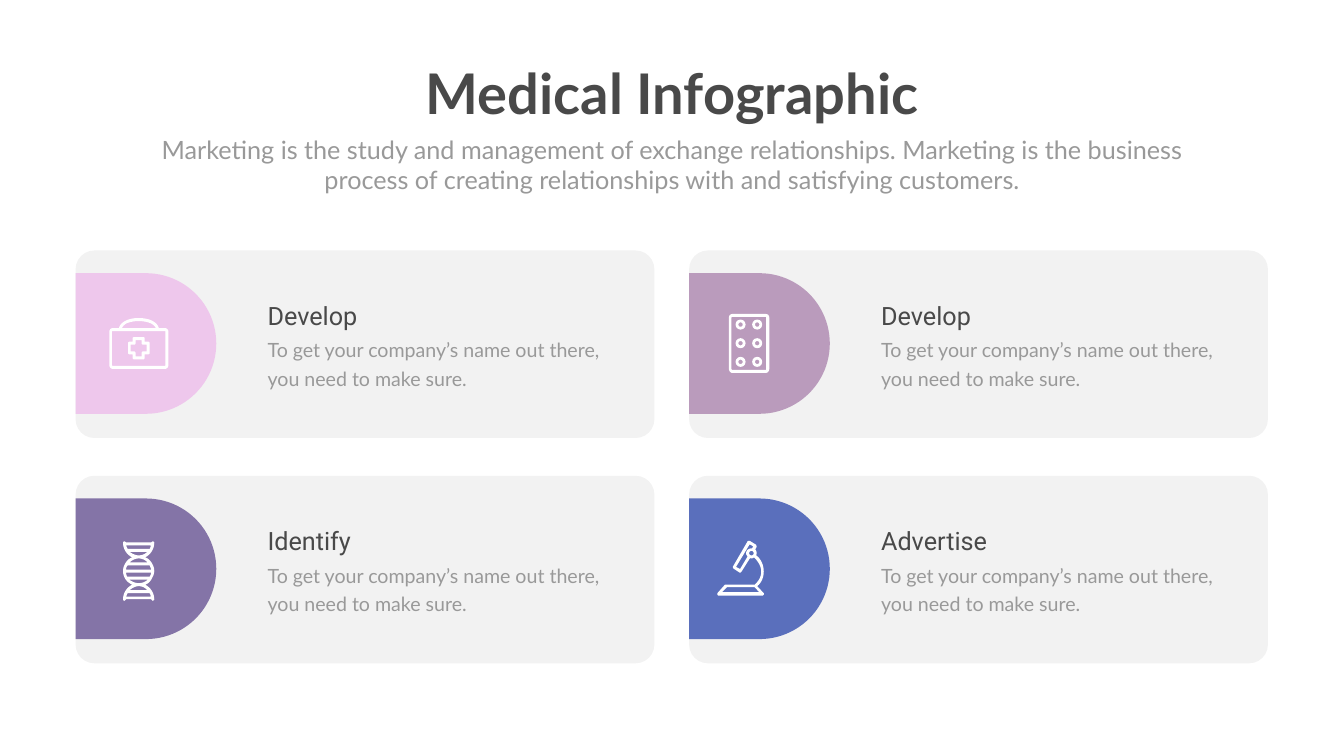
from itertools import product
from typing import NamedTuple

from lxml.etree import SubElement
from pptx import Presentation
from pptx.dml.color import RGBColor
from pptx.enum.shapes import MSO_SHAPE
from pptx.enum.text import MSO_AUTO_SIZE, PP_ALIGN
from pptx.oxml.ns import qn
from pptx.util import Pt

PX = 9144  # EMU in one px, 100 px to the inch
CURVE_STEPS = 8

WHITE, DARK, GREY = "FFFFFF", "494949", "999999"
CARD_GREY, CARD_OPACITY = "808080", 10
COLUMNS, ROWS = (150, 1367), (497, 944)
CARD_WIDTH, CARD_HEIGHT = 1148, 372
BADGE_SIZE, BADGE_DROP = 279, 45
TEXT_INSET, HEADING_DROP, DETAIL_DROP = 371, 94, 159
DETAIL = "To get your company’s name out there, you need to make sure."

# Icon outlines, one closed contour a string: M move, L line, C cubic curve, in px.
FIRST_AID_CASE = (
    """M 327 651 L 315 651 C 314 646 310 641 303 637 C 296 633 285 631 275 631
    C 265 631 255 633 248 637 C 241 641 237 646 236 651 L 224 651
    C 220 651 217 654 217 658 L 217 724 C 217 729 220 732 224 732 L 327 732
    C 331 732 334 729 334 724 L 334 658 C 334 654 331 651 327 651""",
    """M 250 642 C 257 639 266 637 275 637 C 284 637 294 639 300 642
    C 305 645 308 648 309 651 L 242 651 C 243 648 246 645 250 642""",
    """M 328 724 C 328 725 328 726 327 726 L 224 726 C 223 726 222 725 222 724
    L 222 658 C 222 657 223 657 224 657 L 327 657 C 328 657 328 657 328 658""",
)
FIRST_AID_CROSS = (
    """M 294 678 L 287 678 L 287 672 C 287 670 286 669 285 669 L 266 669
    C 264 669 263 670 263 672 L 263 678 L 257 678 C 255 678 254 680 254 681
    L 254 700 C 254 702 255 703 257 703 L 263 703 L 263 710
    C 263 711 264 713 266 713 L 285 713 C 286 713 287 711 287 710 L 287 703
    L 294 703 C 296 703 297 702 297 700 L 297 681 C 297 680 296 678 294 678""",
    """M 291 697 L 285 697 C 282 697 281 699 281 700 L 281 707 L 269 707 L 269 700
    C 269 699 267 697 266 697 L 259 697 L 259 684 L 266 684
    C 267 684 269 683 269 681 L 269 675 L 281 675 L 281 681
    C 281 683 282 684 285 684 L 291 684""",
)
BLISTER_PACK = (
    """M 1519 623 L 1453 623 C 1449 623 1446 626 1446 630 L 1446 732
    C 1446 736 1449 740 1453 740 L 1519 740 C 1523 740 1526 736 1526 732
    L 1526 630 C 1526 626 1523 623 1519 623""",
    """M 1520 732 C 1520 733 1520 734 1519 734 L 1453 734
    C 1452 734 1451 733 1451 732 L 1451 630 C 1451 629 1452 629 1453 629
    L 1519 629 C 1520 629 1520 629 1520 630""",
)
DNA = (
    """M 301 1148 C 304 1143 306 1138 306 1133
    C 306 1127 304 1122 301 1117 C 298 1112 294 1108 288 1106
    C 299 1100 306 1089 306 1077 C 306 1076 304 1074 303 1074
    L 300 1076 L 250 1076 L 247 1074
    C 245 1074 244 1076 244 1077 C 244 1089 251 1100 262 1106
    C 256 1108 252 1112 249 1117 C 246 1122 244 1127 244 1133
    C 244 1145 251 1155 262 1160 C 251 1166 244 1177 244 1189
    C 244 1190 245 1192 247 1192 L 250 1189 L 300 1189
    L 303 1192 C 304 1192 306 1190 306 1189
    C 306 1177 299 1166 288 1160 C 294 1158 298 1154 301 1148""",
    "M 250 1082 L 299 1082 C 299 1085 298 1087 297 1089 L 253 1089 L 250 1082",
    "M 257 1095 L 292 1095 C 288 1099 282 1102 275 1102 C 269 1102 263 1099 257 1095",
    "M 275 1108 C 282 1108 288 1111 293 1116 L 257 1116 C 262 1111 269 1108 275 1108",
    "M 253 1122 L 297 1122 L 300 1130 L 250 1130 C 250 1127 251 1124 253 1122",
    "M 252 1144 C 251 1141 250 1139 250 1136 L 300 1136 C 299 1139 299 1141 297 1144",
    "M 299 1184 L 250 1184 L 253 1177 L 297 1177 C 298 1179 299 1181 299 1184",
    "M 292 1171 L 257 1171 C 263 1166 269 1163 275 1163 C 282 1163 288 1166 292 1171",
    "M 275 1157 C 268 1157 262 1154 256 1150 L 293 1150 C 289 1154 283 1157 275 1157",
)
MICROSCOPE = (
    """M 1502 1163 C 1511 1156 1515 1145 1515 1134 C 1515 1122 1510 1109 1500 1102
    L 1501 1098 C 1501 1095 1500 1092 1498 1090 L 1501 1085 L 1500 1081
    L 1487 1073 L 1485 1073 L 1483 1074 L 1454 1124 L 1454 1126 L 1455 1128
    L 1467 1136 L 1469 1136 L 1471 1134 L 1488 1107
    C 1489 1108 1490 1108 1491 1108 C 1492 1108 1494 1107 1496 1106
    C 1504 1114 1510 1124 1510 1134 C 1510 1144 1505 1153 1498 1159
    L 1498 1160 L 1438 1160 L 1423 1177 L 1423 1180 L 1425 1182 L 1513 1182
    L 1515 1180 L 1515 1177""",
    """M 1468 1129 L 1460 1125 L 1487 1080 L 1494 1084 L 1492 1088 L 1491 1088
    C 1485 1088 1480 1092 1480 1098 C 1480 1100 1481 1102 1483 1104""",
    """M 1491 1102 C 1488 1102 1486 1100 1486 1098 C 1486 1095 1488 1093 1491 1093
    C 1493 1093 1495 1095 1495 1098 C 1495 1100 1493 1102 1491 1102""",
    "M 1432 1175 L 1442 1165 L 1497 1165 L 1506 1175",
)


class Card(NamedTuple):
    heading: str
    color: str
    icon: tuple[tuple[str, ...], ...]


class Style(NamedTuple):
    font: str
    size: int
    color: str
    bold: bool = False
    align: PP_ALIGN = PP_ALIGN.LEFT
    leading: float | None = None


CARDS = (
    Card("Develop", "EEC7EC", (FIRST_AID_CASE, FIRST_AID_CROSS)),
    Card("Develop", "BA9BBC", (BLISTER_PACK,)),
    Card("Identify", "8474A7", (DNA,)),
    Card("Advertise", "5A6FBC", (MICROSCOPE,)),
)
TITLE_STYLE = Style("Lato", 80, DARK, True, PP_ALIGN.CENTER)
INTRO_STYLE = Style("Lato", 36, GREY, align=PP_ALIGN.CENTER)
HEADING_STYLE = Style("Roboto", 36, DARK)
DETAIL_STYLE = Style("Lato", 28, GREY, leading=40.8)


def paint(shape, color: str, opacity: int = 100) -> None:
    shape.shadow.inherit = False
    shape.line.fill.background()
    shape.fill.solid()
    shape.fill.fore_color.rgb = RGBColor.from_string(color)
    if opacity < 100:
        tint = shape.fill._xPr.find(qn("a:solidFill"))[0]
        SubElement(tint, qn("a:alpha")).set("val", str(opacity * 1000))


def add_preset(shapes, kind: MSO_SHAPE, box: tuple[int, ...], color: str,
               opacity: int = 100, corner: float | None = None) -> None:
    shape = shapes.add_shape(kind, *(side * PX for side in box))
    if corner is not None:
        shape.adjustments[0] = corner
    paint(shape, color, opacity)


def add_text(shapes, text: str, box: tuple[int, ...], style: Style, wrap: bool = True) -> None:
    frame = shapes.add_textbox(*(side * PX for side in box)).text_frame
    frame.word_wrap = wrap
    frame.auto_size = MSO_AUTO_SIZE.SHAPE_TO_FIT_TEXT
    paragraph = frame.paragraphs[0]
    paragraph.alignment = style.align
    if style.leading:
        paragraph.line_spacing = Pt(style.leading)
    run = paragraph.add_run()
    run.text = text
    run.font.name, run.font.size, run.font.bold = style.font, Pt(style.size), style.bold
    run.font.color.rgb = RGBColor.from_string(style.color)


def contour_points(contour: str) -> list[tuple[float, float]]:
    """Flatten one closed contour into EMU points."""
    tokens = iter(contour.split())
    points = []
    for command in tokens:
        ends = [(int(next(tokens)) * PX, int(next(tokens)) * PX)
                for _ in range(3 if command == "C" else 1)]
        if command == "C":
            controls = [points[-1], *ends]
            for step in range(1, CURVE_STEPS + 1):
                t = step / CURVE_STEPS
                weights = ((1 - t) ** 3, 3 * t * (1 - t) ** 2, 3 * t * t * (1 - t), t ** 3)
                points.append(tuple(sum(w * c[axis] for w, c in zip(weights, controls))
                                    for axis in (0, 1)))
        else:
            points += ends
    return points


def add_outline(shapes, outline: tuple[str, ...]) -> None:
    contours = [contour_points(contour) for contour in outline]
    builder = shapes.build_freeform(*contours[0][0])
    for start, *rest in contours:
        builder.move_to(*start)
        builder.add_line_segments(rest, close=True)
    paint(builder.convert_to_shape(), WHITE)


def add_card(shapes, card: Card, left: int, top: int) -> None:
    add_preset(shapes, MSO_SHAPE.ROUNDED_RECTANGLE, (left, top, CARD_WIDTH, CARD_HEIGHT),
               CARD_GREY, CARD_OPACITY, 0.1)
    add_preset(shapes, MSO_SHAPE.FLOWCHART_DELAY,
               (left, top + BADGE_DROP, BADGE_SIZE, BADGE_SIZE), card.color)
    text_left = left + TEXT_INSET
    add_text(shapes, DETAIL, (text_left, top + DETAIL_DROP, 688, 119), DETAIL_STYLE)
    add_text(shapes, card.heading, (text_left, top + HEADING_DROP, 477, 71), HEADING_STYLE)
    for outline in card.icon:
        add_outline(shapes, outline)


deck = Presentation()
deck.slide_width, deck.slide_height = 2666 * PX, 1500 * PX
canvas = deck.slides.add_slide(deck.slide_layouts[6]).shapes
for medical_card, (row, column) in zip(CARDS, product(ROWS, COLUMNS)):
    add_card(canvas, medical_card, column, row)
for pill_top, pill_left in product((634, 671, 708), (1459, 1492)):
    add_preset(canvas, MSO_SHAPE.DONUT, (pill_left, pill_top, 20, 20), WHITE, corner=0.28)
add_text(canvas, "Medical Infographic", (824, 112, 1019, 145), TITLE_STYLE, wrap=False)
add_text(canvas, "Marketing is the study and management of exchange relationships. "
         "Marketing is the business process of creating relationships with and "
         "satisfying customers.", (292, 261, 2082, 131), INTRO_STYLE)
deck.save("out.pptx")
